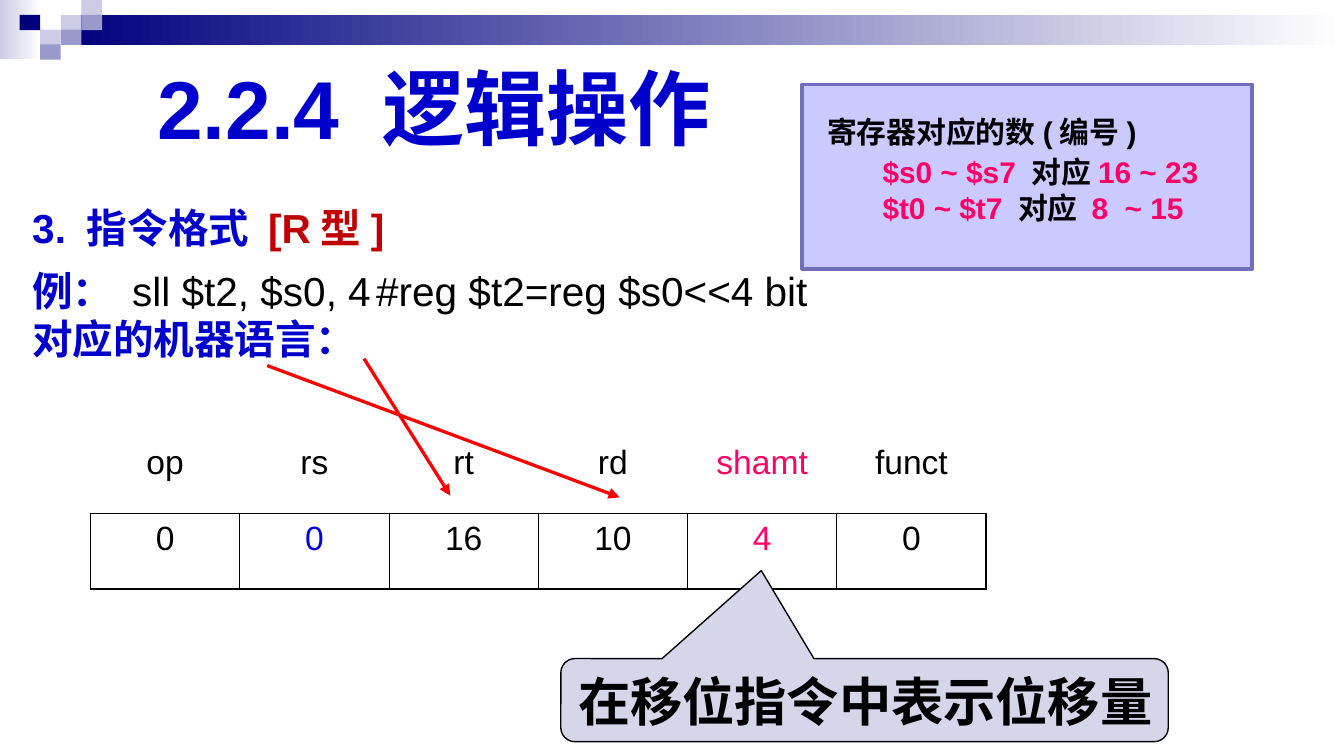
from dataclasses import dataclass

from lxml.etree import SubElement
from pptx import Presentation
from pptx.dml.color import RGBColor
from pptx.enum.shapes import MSO_CONNECTOR, MSO_SHAPE
from pptx.enum.text import MSO_ANCHOR, PP_ALIGN
from pptx.oxml.ns import qn
from pptx.util import Cm, Pt


@dataclass(frozen=True)
class Theme:
    font: str = "Arial"
    black: str = "000000"
    white: str = "FFFFFF"
    navy: str = "00007D"
    blue: str = "0000CC"
    bright_blue: str = "0000E5"
    red: str = "FF0000"
    dark_red: str = "C00000"
    pink: str = "FF0066"
    light_tile: str = "CCCCE6"
    mid_tile: str = "9999CC"
    callout_fill: str = "D6D6EB"
    note_fill: str = "CACAFF"
    note_line: str = "6F6FBC"
    title_size: float = 44
    body_size: float = 21.7
    table_size: float = 18
    callout_size: float = 28
    note_size: float = 16


THEME = Theme()


class SlideBuilder:
    """Holds the theme and the slide that is being filled."""

    def __init__(self, page, theme):
        self.page = page
        self.theme = theme

    def spans(self, para, runs, size, bold=False):
        """Add (text, colour) runs; a third item in a run overrides the style."""
        for text, color, *style in runs:
            span = para.add_run()
            span.text = text
            span.font.name = self.theme.font
            span.font.color.rgb = RGBColor.from_string(color)
            span.font.size = Pt(size)
            span.font.bold = bold
            for name, value in (style[0] if style else {}).items():
                setattr(span.font, name, value)

    def paragraphs(self, frame, lines, size, bold=False, align=PP_ALIGN.LEFT):
        for number, runs in enumerate(lines):
            para = frame.add_paragraph() if number else frame.paragraphs[0]
            para.alignment = align
            self.spans(para, runs, size, bold)
        return frame.paragraphs

    def indent(self, para, left, first=0):
        properties = para._p.get_or_add_pPr()
        properties.set("marL", str(Cm(left)))
        properties.set("indent", str(Cm(first)))

    def inch_tabs(self, para):
        tabs = SubElement(para._p.get_or_add_pPr(), qn("a:tabLst"))
        for stop in range(8):
            SubElement(tabs, qn("a:tab"), pos=str(Cm(2.54 * stop)), algn="l")

    def text_box(self, left, top, width, height, lines, size, bold=False,
                 anchor=MSO_ANCHOR.TOP):
        box = self.page.shapes.add_textbox(Cm(left), Cm(top), Cm(width), Cm(height))
        box.text_frame.word_wrap = True
        box.text_frame.vertical_anchor = anchor
        return self.paragraphs(box.text_frame, lines, size, bold)

    def shape(self, kind, left, top, width, height, fill, line=None, weight=1):
        """Draw a preset shape; a pair of colours as fill makes a gradient."""
        shape = self.page.shapes.add_shape(
            kind, Cm(left), Cm(top), Cm(width), Cm(height))
        shape.shadow.inherit = False
        if isinstance(fill, tuple):
            shape.fill.gradient()
            shape.fill.gradient_angle = 0
            for stop, color in zip(shape.fill.gradient_stops, fill):
                stop.color.rgb = RGBColor.from_string(color)
        else:
            shape.fill.solid()
            shape.fill.fore_color.rgb = RGBColor.from_string(fill)
        if line:
            shape.line.color.rgb = RGBColor.from_string(line)
            shape.line.width = Pt(weight)
        else:
            shape.line.fill.background()
        return shape

    def arrow(self, start, end):
        arrow = self.page.shapes.add_connector(
            MSO_CONNECTOR.STRAIGHT, *map(Cm, start + end))
        arrow.line.color.rgb = RGBColor.from_string(self.theme.red)
        arrow.line.width = Pt(1.75)
        SubElement(arrow.line._get_or_add_ln(), qn("a:tailEnd"), type="triangle")
        SubElement(arrow._element.spPr, qn("a:effectLst"))

    def borders(self, cell, weights):
        """Set left, right, top and bottom lines; a weight of 0 means none."""
        properties = cell._tc.get_or_add_tcPr()
        for side, weight in zip("LRTB", weights):
            line = SubElement(properties, qn(f"a:ln{side}"), w=str(Pt(weight)))
            if weight:
                fill = SubElement(line, qn("a:solidFill"))
                SubElement(fill, qn("a:srgbClr"), val=self.theme.black)
            else:
                SubElement(line, qn("a:noFill"))

    def field_table(self, left, top, width, height, rows):
        """Draw unframed field names above a framed row of values."""
        thin, thick = 0.45, 1.08
        count = len(rows[0])
        table = self.page.shapes.add_table(
            len(rows), count, Cm(left), Cm(top), Cm(width), Cm(height)).table
        table.first_row = table.horz_banding = False
        for row, values in enumerate(rows):
            for column, run in enumerate(values):
                cell = table.cell(row, column)
                if row:
                    self.borders(cell, (thin if column else thick,
                                        thin if column < count - 1 else thick,
                                        thin, thick))
                else:
                    self.borders(cell, (0, 0, 0, thin))
                cell.fill.background()
                self.paragraphs(cell.text_frame, [[run]], self.theme.table_size,
                                align=PP_ALIGN.CENTER)

    def header_band(self):
        theme = self.theme
        rect = MSO_SHAPE.RECTANGLE
        self.shape(rect, 0, 0, 0.79, 1.12, (theme.light_tile, theme.white))
        self.shape(rect, 1.15, 0.28, 24.25, 0.58, (theme.navy, theme.white))
        tiles = [(2, 1, theme.light_tile), (3, 0, theme.light_tile),
                 (3, 1, theme.mid_tile), (1, 2, theme.light_tile),
                 (0, 1, theme.navy), (2, 2, theme.mid_tile),
                 (1, 3, theme.mid_tile)]
        for column, row, color in tiles:
            self.shape(rect, 0.37 + 0.39 * column, 0.28 * row, 0.39, 0.29, color)


def main():
    deck = Presentation()
    deck.slide_width, deck.slide_height = Cm(25.4), Cm(14.29)
    page = deck.slides.add_slide(deck.slide_layouts[6])
    theme = THEME
    builder = SlideBuilder(page, theme)
    builder.header_band()

    builder.text_box(2.72, 1.22, 22.68, 1.6, [[("2.2.4 逻辑操作", theme.blue)]],
                     theme.title_size, True, MSO_ANCHOR.MIDDLE)

    body = builder.text_box(0.36, 3.43, 24.56, 3.71, [
        [("3. 指令格式 ", theme.blue), ("[R型]", theme.dark_red)],
        [("例： ", theme.blue),
         ("sll $t2, $s0, 4\t#reg $t2=reg $s0<<4 bit", theme.black, {"bold": False})],
        [("对应的机器语言：", theme.blue)],
    ], theme.body_size, True)
    for para in body:
        builder.indent(para, 1.42, -1.42)
        builder.inch_tabs(para)
    for para in body[:2]:
        para.line_spacing = 1.3

    names = [(name, theme.black) for name in ("op", "rs", "rt", "rd")]
    names += [("shamt", theme.pink), ("funct", theme.black)]
    values = [("0", theme.black), ("0", theme.bright_blue), ("16", theme.black),
              ("10", theme.black), ("4", theme.pink), ("0", theme.black)]
    builder.field_table(1.71, 8.26, 16.93, 2.87, [names, values])

    callout = builder.shape(MSO_SHAPE.ROUNDED_RECTANGULAR_CALLOUT, 10.6, 12.45,
                            11.48, 1.57, theme.callout_fill, theme.black, 0.75)
    for number, value in enumerate((-0.17, -1.56, 0.17)):
        callout.adjustments[number] = value
    callout.text_frame.word_wrap = False
    callout.text_frame.vertical_anchor = MSO_ANCHOR.MIDDLE
    builder.paragraphs(callout.text_frame, [[("在移位指令中表示位移量", theme.black)]],
                       theme.callout_size, True)

    note = builder.shape(MSO_SHAPE.RECTANGLE, 15.16, 1.6, 8.51, 3.48,
                         theme.note_fill, theme.note_line, 2)
    note.text_frame.vertical_anchor = MSO_ANCHOR.TOP
    registers = builder.paragraphs(note.text_frame, [
        [(" ", theme.white, {"size": Pt(theme.callout_size)}),
         ("寄存器对应的数(编号)", theme.black)],
        [("$s0 ~ $s7 ", theme.pink), ("对应", theme.black), ("16 ~ 23", theme.pink)],
        [("$t0 ~ $t7 ", theme.pink), ("对应 ", theme.black), ("8  ~ 15", theme.pink)],
    ], theme.note_size, True)
    for para in registers[1:]:
        builder.indent(para, 1.27)

    builder.arrow((6.88, 6.78), (8.51, 9.37))
    builder.arrow((5.05, 6.91), (11.71, 9.4))
    deck.save("out.pptx")


if __name__ == "__main__":
    main()
